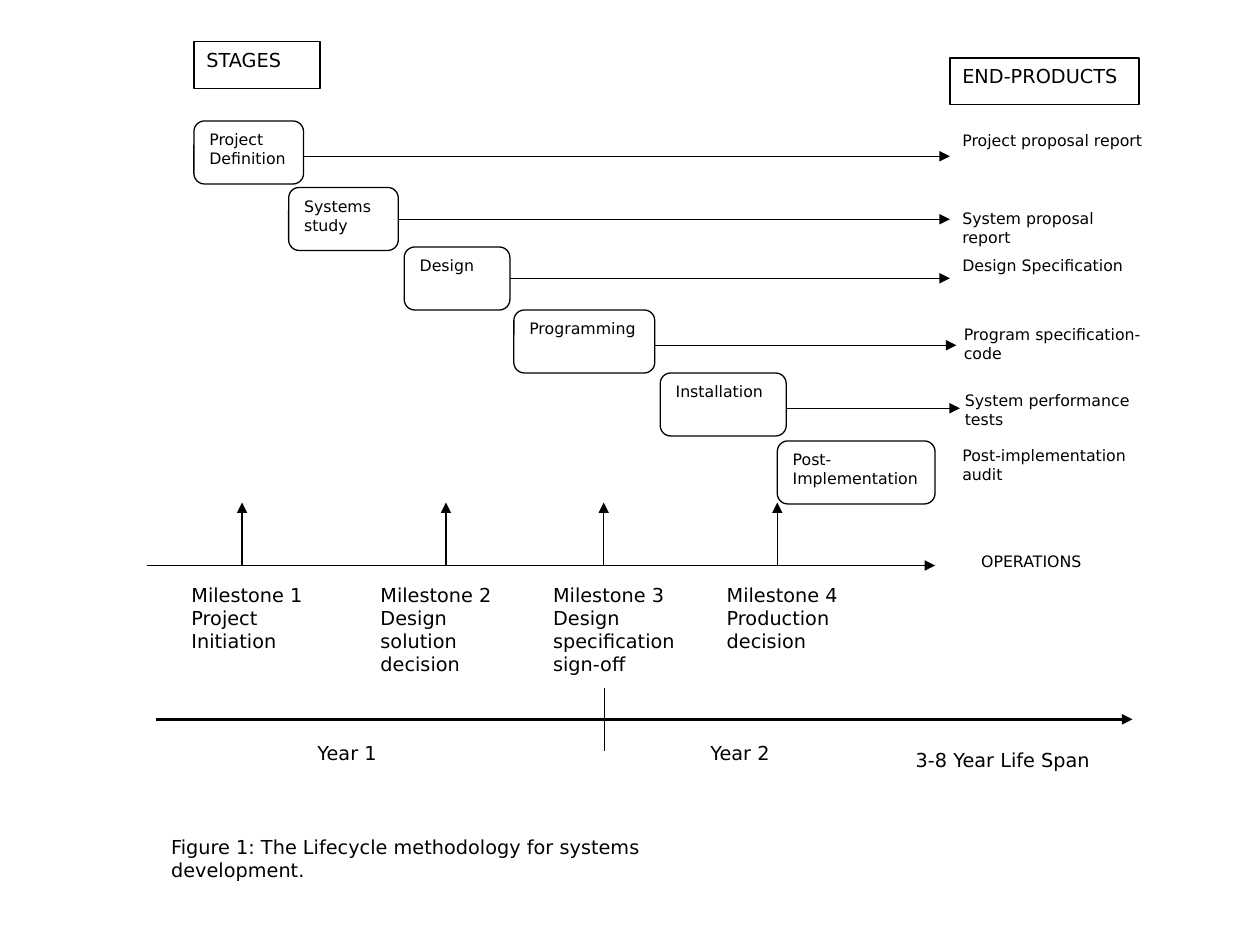
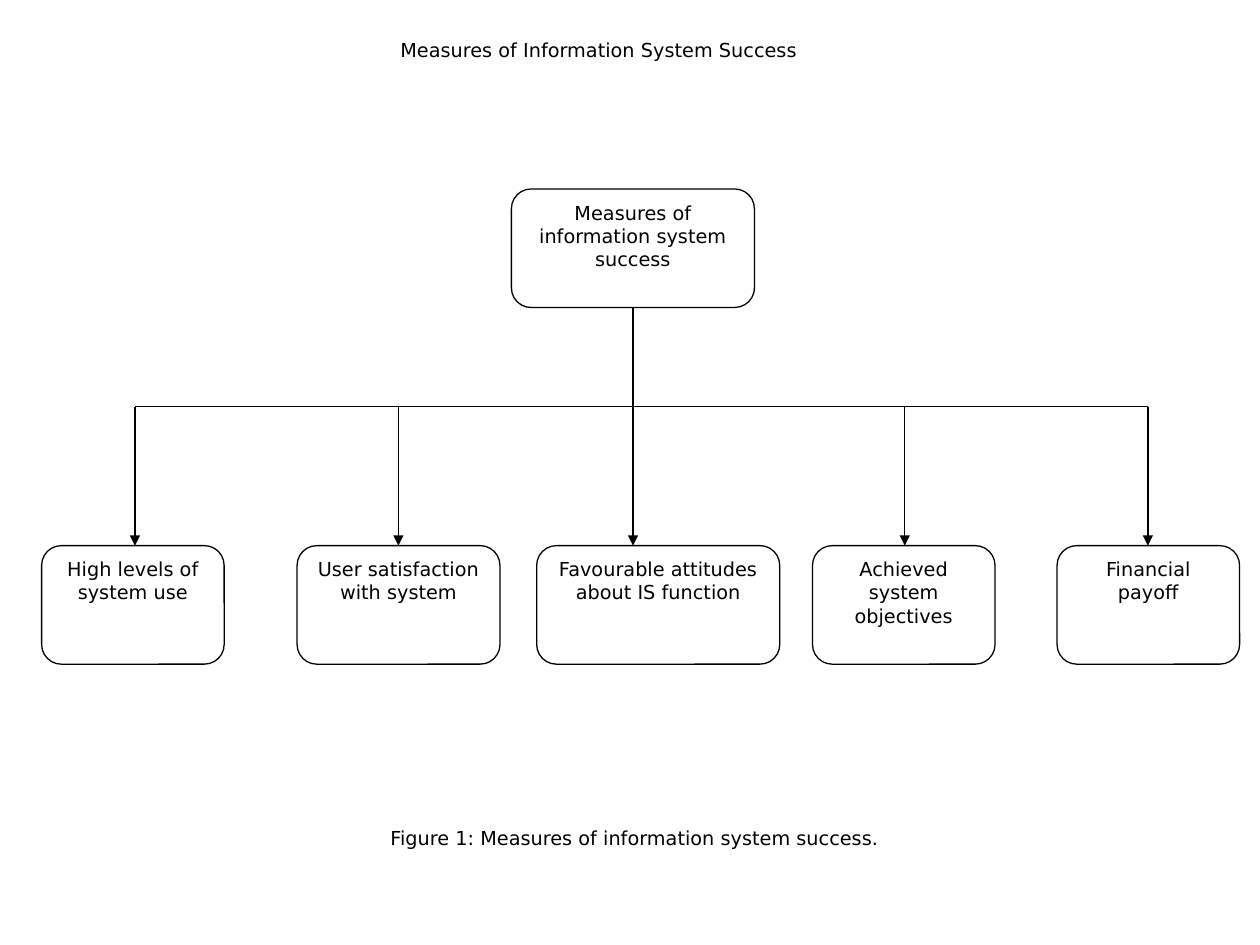
from lxml import etree
from pptx import Presentation
from pptx.dml.color import RGBColor
from pptx.enum.shapes import MSO_CONNECTOR, MSO_SHAPE
from pptx.enum.text import MSO_ANCHOR, PP_ALIGN
from pptx.oxml.ns import qn
from pptx.util import Cm, Pt

STRAIGHT = MSO_CONNECTOR.STRAIGHT
RECTANGLE = MSO_SHAPE.RECTANGLE
ROUNDED = MSO_SHAPE.ROUNDED_RECTANGLE
TOP = MSO_ANCHOR.TOP
LEFT, CENTER = PP_ALIGN.LEFT, PP_ALIGN.CENTER

INK = RGBColor(0x00, 0x00, 0x00)
PAPER = RGBColor(0xFF, 0xFF, 0xFF)
FONT = "DejaVu Sans"
SMALL, NORMAL = 9, 11
THIN, MEDIUM, THICK = 0.75, 1, 2

# All positions and sizes are in centimetres.
# Stage, left, top, width
STAGES = [
    ("Project Definition", 3.91, 2.44, 2.21),
    ("Systems study", 5.82, 3.78, 2.21),
    ("Design", 8.15, 4.98, 2.13),
    ("Programming", 10.36, 6.25, 2.84),
    ("Installation", 13.31, 7.52, 2.54),
    ("Post-Implementation", 15.67, 8.89, 3.18),
]
STAGE_HEIGHT = 1.27

# End product, left, top, arrow tip (x, y) or None
END_PRODUCTS = [
    ("Project proposal report", 19.15, 2.51, (19.15, 3.15)),
    ("System proposal report", 19.15, 4.09, (19.15, 4.42)),
    ("Design Specification", 19.15, 5.03, (19.15, 5.61)),
    ("Program specification-code", 19.18, 6.43, (19.28, 6.96)),
    ("System performance tests", 19.2, 7.75, (19.35, 8.23)),
    ("Post-implementation audit", 19.15, 8.86, None),
]
END_PRODUCT_SIZE = (4.15, 1.27)

COLUMN_HEADINGS = [
    ("STAGES", (3.91, 0.84, 2.54, 0.94)),
    ("END-PRODUCTS", (19.15, 1.17, 3.81, 0.94)),
]

# Text lines, text left, arrow x
MILESTONES = [
    (["Milestone 1", "Project", "Initiation"], 3.61, 4.88),
    (["Milestone 2", "Design solution decision"], 7.42, 8.99),
    (["Milestone 3", "Design specification sign-off"], 10.9, 12.17),
    (["Milestone 4", "Production decision"], 14.4, 15.67),
]
MILESTONE_TOP, MILESTONE_SIZE = 11.63, (3.18, 2.21)
OPERATIONS_Y, MILESTONE_TIP_Y = 11.4, 10.13
YEARS_Y, YEAR_TICK_X, YEAR_TICK_HALF = 14.5, 12.19, 0.64

LIFECYCLE_LABELS = [
    ("OPERATIONS", (19.53, 11, 2.84, 0.94), SMALL),
    ("Year 1", (6.15, 14.81, 2.21, 0.94), NORMAL),
    ("Year 2", (14.07, 14.81, 2.21, 0.94), NORMAL),
    ("3-8 Year Life Span", (18.21, 14.96, 4.37, 0.81), NORMAL),
    ("Figure 1: The Lifecycle methodology for systems development.",
     (3.2, 16.71, 10.49, 1.57), NORMAL),
]

SUCCESS_HEADING = "Measures of Information System Success"
SUCCESS_CAPTION = "Figure 1: Measures of information system success."
SUCCESS_ROOT = "Measures of information system success"
# Measure, left, width, arrow x
MEASURES = [
    ("High levels of system use", 0.84, 3.68, 2.72),
    ("User satisfaction with system", 5.99, 4.09, 8.03),
    ("Favourable attitudes about IS function", 10.82, 4.9, 12.76),
    ("Achieved system objectives", 16.38, 3.68, 18.24),
    ("Financial payoff", 21.31, 3.68, 23.14),
]
ROOT_LEFT, ROOT_TOP, ROOT_WIDTH = 10.31, 3.81, 4.9
MEASURE_TOP, MEASURE_HEIGHT, BRANCH_Y = 11, 2.39, 8.2


def write_text(shape, lines, size, alignment=LEFT):
    frame = shape.text_frame
    frame.word_wrap = True
    frame.vertical_anchor = TOP
    frame.text = "\n".join(lines)
    for paragraph in frame.paragraphs:
        paragraph.alignment = alignment
        for name, value in {"name": FONT, "size": Pt(size)}.items():
            setattr(paragraph.font, name, value)
        paragraph.font.color.rgb = INK


def add_label(slide, lines, box, size=NORMAL):
    label = slide.shapes.add_textbox(*map(Cm, box))
    write_text(label, lines, size)
    return label


def add_box(slide, kind, text, box, size=NORMAL, alignment=LEFT):
    shape = slide.shapes.add_shape(kind, *map(Cm, box))
    shape.shadow.inherit = False
    shape.fill.solid()
    shape.fill.fore_color.rgb = PAPER
    shape.line.color.rgb = INK
    shape.line.width = Pt(THIN)
    write_text(shape, [text], size, alignment)


def add_line(slide, start, end, width=THIN, arrow=True):
    connector = slide.shapes.add_connector(STRAIGHT, *map(Cm, start + end))
    connector.line.color.rgb = INK
    connector.line.width = Pt(width)
    if arrow:
        outline = connector.line._get_or_add_ln()
        etree.SubElement(outline, qn("a:tailEnd"), type="triangle")
    etree.SubElement(connector._element.spPr, qn("a:effectLst"))


def build_lifecycle(slide):
    for text, box in COLUMN_HEADINGS:
        add_box(slide, RECTANGLE, text, box)

    for stage, end_product in zip(STAGES, END_PRODUCTS):
        name, left, top, width = stage
        product, product_left, product_top, tip = end_product
        add_box(slide, ROUNDED, name, (left, top, width, STAGE_HEIGHT), SMALL)
        add_label(slide, [product],
                  (product_left, product_top, *END_PRODUCT_SIZE), SMALL)
        if tip:
            add_line(slide, (left + width, tip[1]), tip)

    add_line(slide, (2.97, OPERATIONS_Y), (18.85, OPERATIONS_Y), MEDIUM)
    for lines, left, arrow_x in MILESTONES:
        add_line(slide, (arrow_x, OPERATIONS_Y), (arrow_x, MILESTONE_TIP_Y))
        add_label(slide, lines, (left, MILESTONE_TOP, *MILESTONE_SIZE))

    add_line(slide, (3.15, YEARS_Y), (22.83, YEARS_Y), THICK)
    add_line(slide, (YEAR_TICK_X, YEARS_Y - YEAR_TICK_HALF),
             (YEAR_TICK_X, YEARS_Y + YEAR_TICK_HALF), arrow=False)
    for text, box, size in LIFECYCLE_LABELS:
        add_label(slide, [text], box, size)


def build_success_measures(slide):
    add_label(slide, [SUCCESS_HEADING], (7.82, 0.64, 9.83, 1.9))
    add_box(slide, ROUNDED, SUCCESS_ROOT,
            (ROOT_LEFT, ROOT_TOP, ROOT_WIDTH, MEASURE_HEIGHT),
            alignment=CENTER)

    root_x = ROOT_LEFT + ROOT_WIDTH / 2
    first_x, last_x = MEASURES[0][-1], MEASURES[-1][-1]
    add_line(slide, (root_x, ROOT_TOP + MEASURE_HEIGHT), (root_x, BRANCH_Y),
             arrow=False)
    add_line(slide, (first_x, BRANCH_Y), (last_x, BRANCH_Y), arrow=False)
    for text, left, width, arrow_x in MEASURES:
        add_box(slide, ROUNDED, text,
                (left, MEASURE_TOP, width, MEASURE_HEIGHT), alignment=CENTER)
        add_line(slide, (arrow_x, BRANCH_Y), (arrow_x, MEASURE_TOP))

    caption = add_label(slide, [SUCCESS_CAPTION], (7.62, 16.08, 12.17, 1.47))
    caption.text_frame.margin_top = Cm(0.58)


def main():
    presentation = Presentation()
    presentation.slide_width = Cm(25.4)
    presentation.slide_height = Cm(19.05)
    blank = presentation.slide_layouts[6]
    for build in (build_lifecycle, build_success_measures):
        build(presentation.slides.add_slide(blank))
    presentation.save("out.pptx")


if __name__ == "__main__":
    main()
